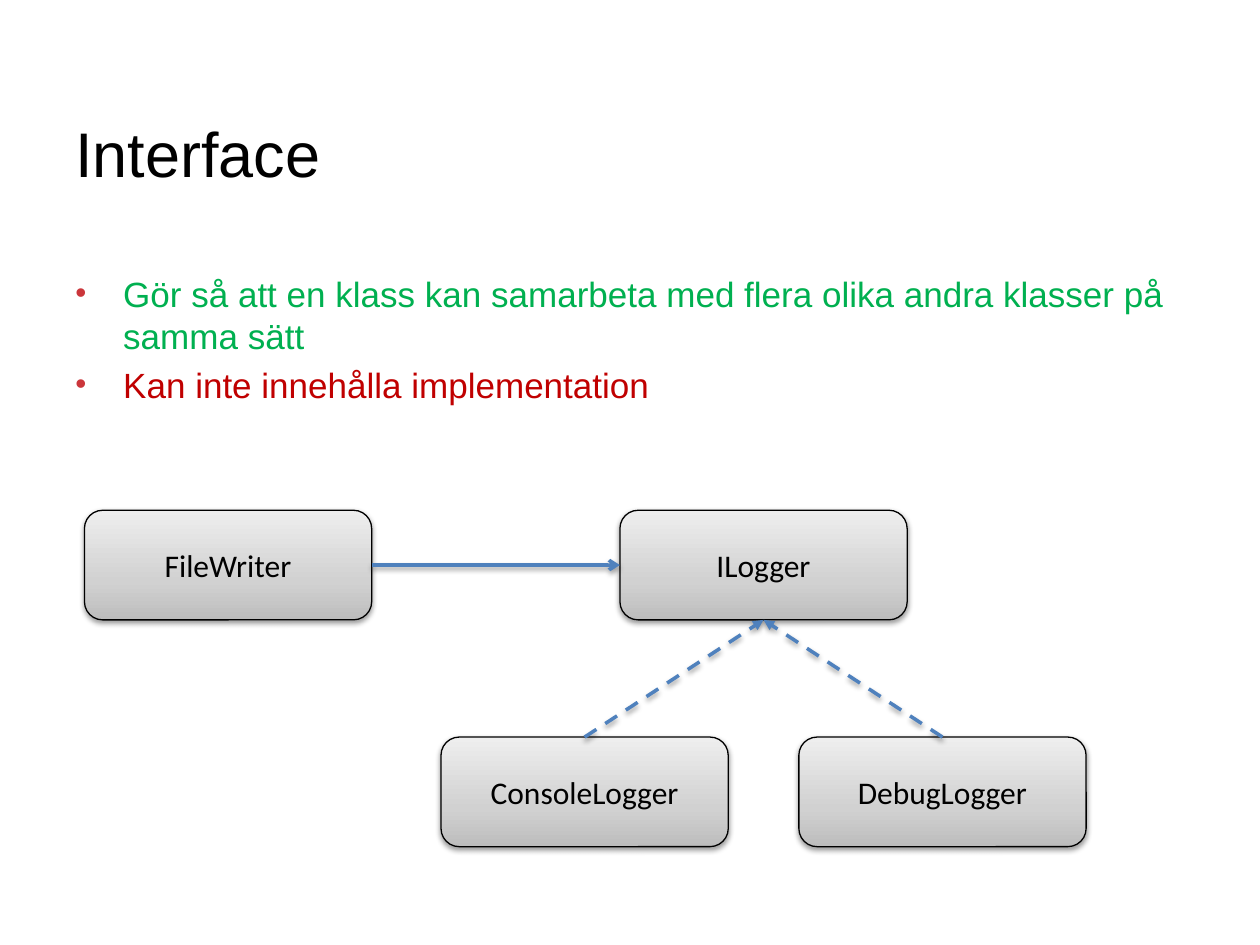
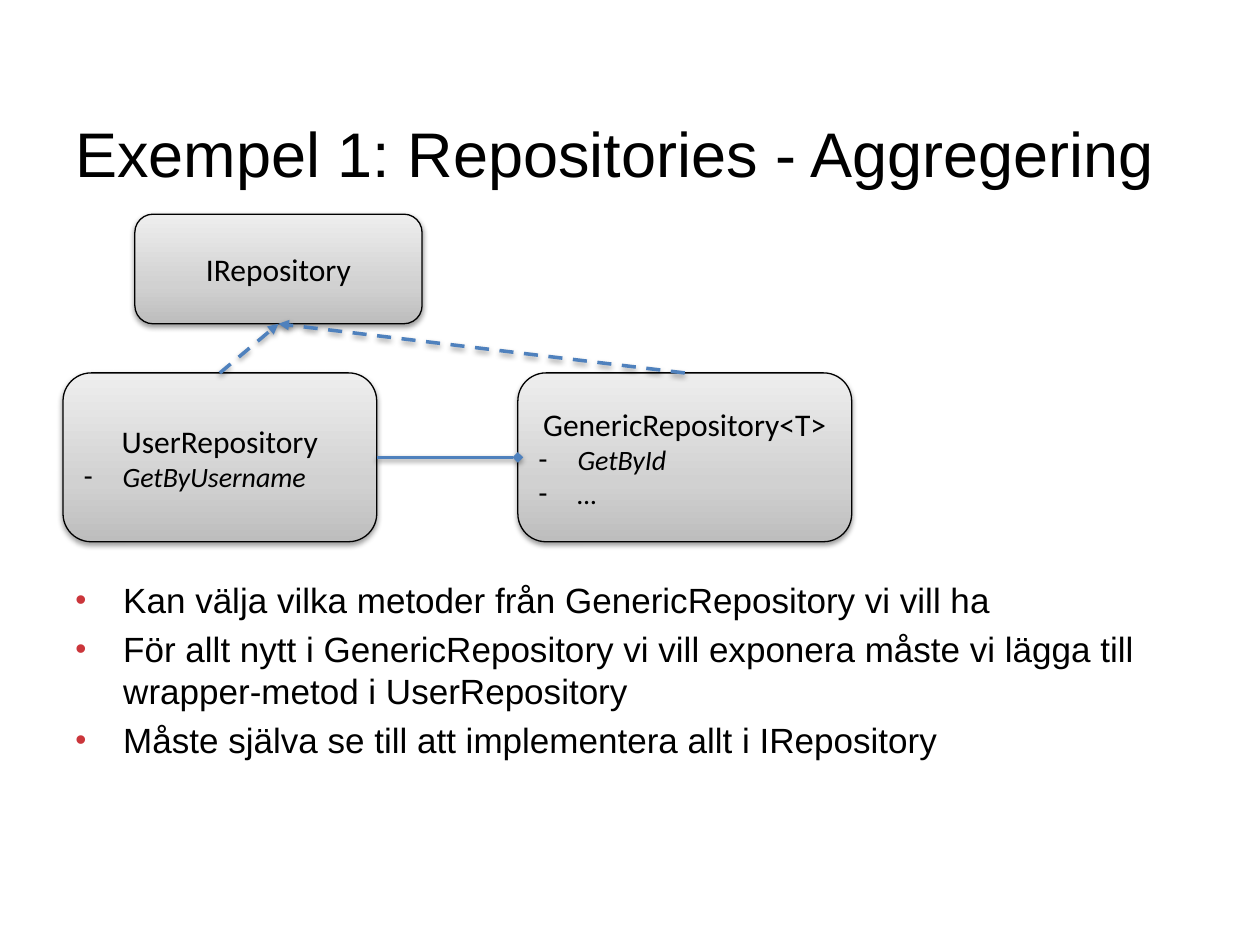
"""Two slides on interfaces and aggregation, each with a small class diagram."""
from lxml.etree import SubElement
from pptx import Presentation
from pptx.dml.color import RGBColor
from pptx.enum.dml import MSO_LINE
from pptx.enum.shapes import MSO_CONNECTOR, MSO_SHAPE
from pptx.enum.text import MSO_ANCHOR, PP_ALIGN
from pptx.oxml.ns import qn
from pptx.util import Inches, Pt

BLACK = RGBColor(0x00, 0x00, 0x00)
GREEN = RGBColor(0x00, 0xB0, 0x50)
RED = RGBColor(0xC0, 0x00, 0x00)
BULLET_RED = RGBColor(0xCB, 0x36, 0x3B)
BLUE = RGBColor(0x4F, 0x81, 0xBD)
BOX_GRADIENT = {
    0: RGBColor(0xBD, 0xBD, 0xBD),
    35: RGBColor(0xD1, 0xD1, 0xD1),
    100: RGBColor(0xEE, 0xEE, 0xEE),
}

COLUMNS, ROWS = 100, 75
MARGIN, CONTENT_WIDTH = 5, 90
BOX_SIZE = (22.8, 8.7)
TOP, LEFT, BOTTOM, RIGHT = range(4)  # connection sites of a rounded rectangle

TITLE_FONT = {"name": "Arial", "size": Pt(36)}
BODY_FONT = {"name": "Arial", "size": Pt(20)}
CLASS_FONT = {"name": "Calibri", "size": Pt(18)}
MEMBER_FONT = {"name": "Calibri", "size": Pt(16), "italic": True}


def set_values(target, values):
    """Set every attribute named in a dict of format values."""
    for name, value in values.items():
        setattr(target, name, value)


def add_element(parent, tag, **attributes):
    """Append a drawing element with the given attributes."""
    values = {name: str(value) for name, value in attributes.items()}
    return SubElement(parent, qn(f"a:{tag}"), values)


class Deck:
    """Holds the shared style and the slide being built."""

    def __init__(self):
        """Start an empty presentation with a square grid."""
        self.presentation = Presentation()
        set_values(self.presentation, {"slide_width": Inches(10),
                                       "slide_height": Inches(7.5)})
        self.slide = None

    def place(self, left, top, width, height):
        """Turn columns and rows of the grid into slide lengths."""
        column = self.presentation.slide_width / COLUMNS
        row = self.presentation.slide_height / ROWS
        return (round(left * column), round(top * row),
                round(width * column), round(height * row))

    def add_slide(self, title):
        """Add a blank slide with its title."""
        layout = self.presentation.slide_layouts[6]
        self.slide = self.presentation.slides.add_slide(layout)
        frame = self.text_box(5.8, 12.5, MSO_ANCHOR.MIDDLE)
        self.add_words(frame.paragraphs[0], title, TITLE_FONT)

    def text_box(self, top, height, anchor):
        """Add a text box as wide as the content and return its frame."""
        box = self.slide.shapes.add_textbox(
            *self.place(MARGIN, top, CONTENT_WIDTH, height))
        set_values(box.text_frame, {"word_wrap": True,
                                    "vertical_anchor": anchor})
        return box.text_frame

    def add_words(self, paragraph, text, font, color=BLACK,
                  align=PP_ALIGN.LEFT):
        """Add one run with its font and colour."""
        paragraph.alignment = align
        run = paragraph.add_run()
        run.text = text
        set_values(run.font, font)
        run.font.color.rgb = color

    def bullet(self, paragraph, character, indent, color=None, percent=100):
        """Give a paragraph a bullet and a hanging indent."""
        properties = paragraph._p.get_or_add_pPr()
        properties.set("marL", str(Inches(indent)))
        properties.set("indent", str(-Inches(indent)))
        if color is not None:
            add_element(add_element(properties, "buClr"), "srgbClr", val=color)
        add_element(properties, "buSzPct", val=percent * 1000)
        add_element(properties, "buFont", typeface="Arial")
        add_element(properties, "buChar", char=character)

    def bullets(self, top, height, items):
        """Add the body list from pairs of text and colour."""
        frame = self.text_box(top, height, MSO_ANCHOR.TOP)
        for index, (text, color) in enumerate(items):
            paragraph = frame.add_paragraph() if index else frame.paragraphs[0]
            paragraph.space_before = Pt(4)
            self.bullet(paragraph, "•", 0.38, BULLET_RED, 90)
            self.add_words(paragraph, text, BODY_FONT, color)

    def shadow(self, shape):
        """Add the soft shadow below a box or a connector."""
        effects = add_element(shape._element.spPr, "effectLst")
        outer = add_element(effects, "outerShdw", blurRad=Pt(3.1),
                            dist=Pt(1.6), dir=90 * 60000, rotWithShape=0)
        color = add_element(outer, "srgbClr", val=BLACK)
        add_element(color, "alpha", val=38000)

    def class_box(self, left, top, name, members=(), size=BOX_SIZE):
        """Add a class box with its name and its members."""
        box = self.slide.shapes.add_shape(
            MSO_SHAPE.ROUNDED_RECTANGLE, *self.place(left, top, *size))
        gradient = add_element(box._element.spPr, "gradFill", rotWithShape=1)
        stops = add_element(gradient, "gsLst")
        for position, color in BOX_GRADIENT.items():
            stop = add_element(stops, "gs", pos=position * 1000)
            add_element(stop, "srgbClr", val=color)
        add_element(gradient, "lin", ang=270 * 60000, scaled=0)
        box.line.color.rgb = BLACK
        box.line.width = Pt(0.75)
        self.shadow(box)
        frame = box.text_frame
        set_values(frame, {"word_wrap": True,
                           "vertical_anchor": MSO_ANCHOR.MIDDLE})
        self.add_words(frame.paragraphs[0], name, CLASS_FONT,
                       align=PP_ALIGN.CENTER)
        for member in members:
            paragraph = frame.add_paragraph()
            self.bullet(paragraph, "-", 0.31)
            self.add_words(paragraph, member, MEMBER_FONT)
        return box

    def connect(self, start, start_site, end, end_site, head, dash=None):
        """Join two boxes with a line that ends in a head."""
        connector = self.slide.shapes.add_connector(
            MSO_CONNECTOR.STRAIGHT, 0, 0, 0, 0)
        connector.begin_connect(start, start_site)
        connector.end_connect(end, end_site)
        connector.line.color.rgb = BLUE
        set_values(connector.line, {"width": Pt(2), "dash_style": dash})
        add_element(connector.line._get_or_add_ln(), "tailEnd", type=head)
        self.shadow(connector)

    def implement(self, interface, *classes):
        """Draw dashed arrows from classes up to their interface."""
        for box in classes:
            self.connect(box, TOP, interface, BOTTOM, "triangle",
                         MSO_LINE.DASH)


def add_interface_slide(deck):
    """Show a writer that depends on an interface with two loggers."""
    deck.add_slide("Interface")
    deck.bullets(21.1, 14, [
        ("Gör så att en klass kan samarbeta med flera olika andra klasser "
         "på samma sätt", GREEN),
        ("Kan inte innehålla implementation", RED),
    ])
    upper, lower = 40.5, 58.5
    interface = deck.class_box(49.2, upper, "ILogger")
    writer = deck.class_box(6.7, upper, "FileWriter")
    debug = deck.class_box(63.4, lower, "DebugLogger")
    console = deck.class_box(35, lower, "ConsoleLogger")
    deck.connect(writer, RIGHT, interface, LEFT, "arrow")
    deck.implement(interface, console, debug)


def add_aggregation_slide(deck):
    """Show a repository that aggregates a generic one."""
    deck.add_slide("Exempel 1: Repositories - Aggregering")
    row, height = 29.6, 13.4
    interface = deck.class_box(10.7, 17, "IRepository")
    generic = deck.class_box(41.1, row, "GenericRepository<T>",
                             ["GetById", "…"], (26.5, height))
    user = deck.class_box(MARGIN, row, "UserRepository",
                          ["GetByUsername"], (24.9, height))
    deck.implement(interface, generic, user)
    deck.bullets(45.4, 28.3, [
        ("Kan välja vilka metoder från GenericRepository vi vill ha", BLACK),
        ("För allt nytt i GenericRepository vi vill exponera måste vi lägga "
         "till wrapper-metod i UserRepository", BLACK),
        ("Måste själva se till att implementera allt i IRepository", BLACK),
    ])
    deck.connect(user, RIGHT, generic, LEFT, "diamond")


deck = Deck()
add_interface_slide(deck)
add_aggregation_slide(deck)
deck.presentation.save("out.pptx")
